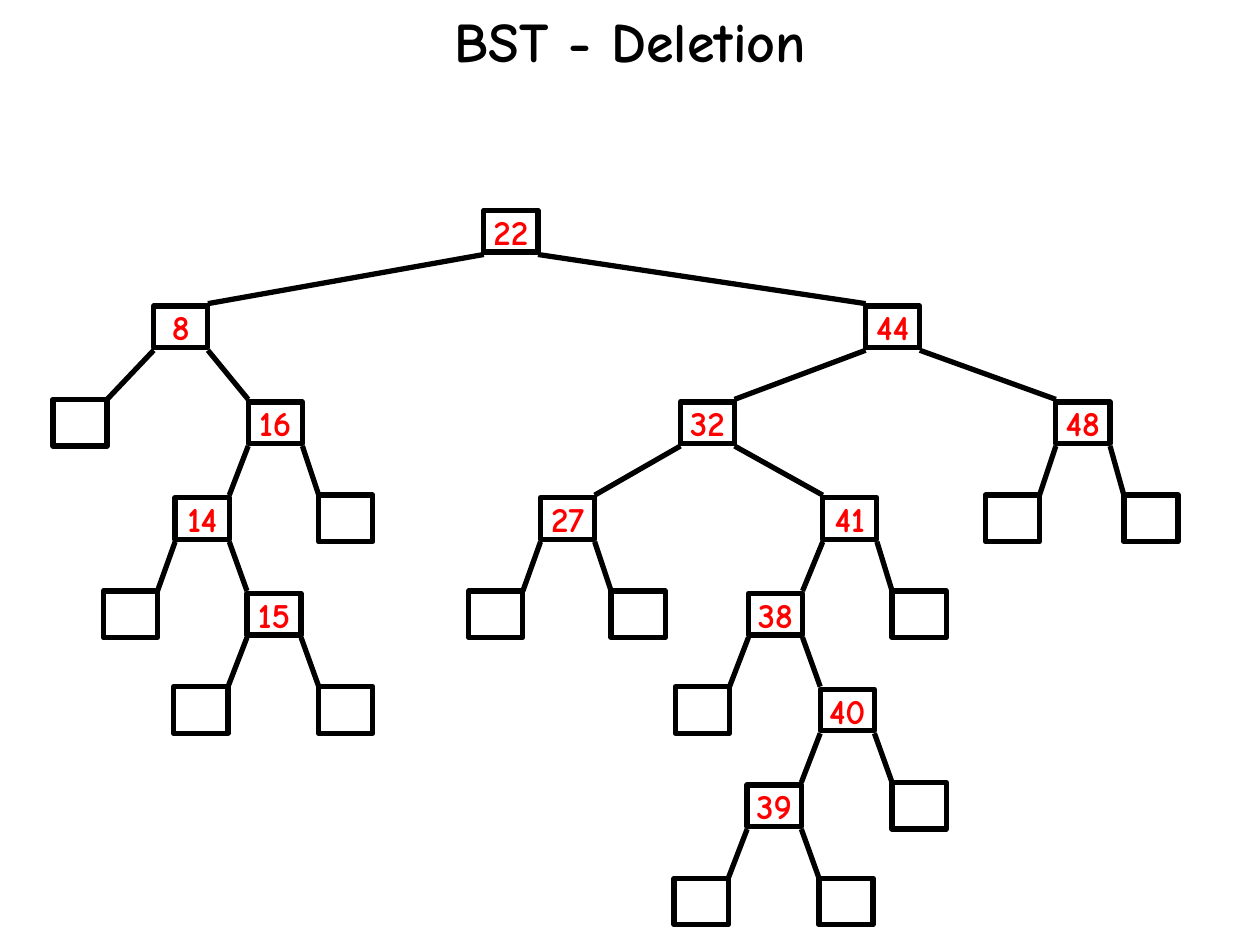
from lxml.etree import SubElement
from pptx import Presentation
from pptx.dml.color import RGBColor as RGB
from pptx.enum.shapes import MSO_CONNECTOR as LINE, MSO_SHAPE as SHAPE
from pptx.enum.text import MSO_ANCHOR as ANCHOR, MSO_AUTO_SIZE as AUTO, PP_ALIGN as ALIGN
from pptx.oxml.ns import qn
from pptx.util import Inches as In, Pt

HUES = {"ink": "000000", "key": "FF0000", "box": "FFFFFF"}
FONT = "Comic Neue"
TOP, ROW = 1.65, 0.76      # first level and the step between levels
WIDE, TALL = 0.43, 0.37    # cell of one node
INSET = 0.02               # a keyed box is this much smaller above and below

# key, level, left edge, parent key; an empty key is an empty leaf
NODES = [
    ("22", 0, 3.84, None),
    ("8", 1, 1.22, "22"), ("44", 1, 6.87, "22"),
    ("", 2, 0.42, "8"), ("16", 2, 1.97, "8"),
    ("32", 2, 5.4, "44"), ("48", 2, 8.38, "44"),
    ("14", 3, 1.39, "16"), ("", 3, 2.53, "16"),
    ("27", 3, 4.29, "32"), ("41", 3, 6.53, "32"),
    ("", 3, 7.82, "48"), ("", 3, 8.92, "48"),
    ("", 4, 0.82, "14"), ("15", 4, 1.96, "14"),
    ("", 4, 3.72, "27"), ("", 4, 4.85, "27"),
    ("38", 4, 5.94, "41"), ("", 4, 7.08, "41"),
    ("", 5, 1.38, "15"), ("", 5, 2.53, "15"),
    ("", 5, 5.36, "38"), ("40", 5, 6.51, "38"),
    ("39", 6, 5.93, "40"), ("", 6, 7.08, "40"),
    ("", 7, 5.35, "39"), ("", 7, 6.5, "39"),
]

deck = Presentation()
deck.slide_width, deck.slide_height = In(10), In(7.5)
slide = deck.slides.add_slide(deck.slide_layouts[6])
shapes = slide.shapes


def style(para, size, hue):
    font = para.font
    font.name, font.size, font.bold = FONT, Pt(size), True
    font.color.rgb = RGB.from_string(HUES[hue])


def ink(line):
    line.color.rgb = RGB.from_string(HUES["ink"])
    line.width = Pt(3)


# Title
title = shapes.add_textbox(In(3.51), 0, In(2.99), In(0.64)).text_frame
title.word_wrap = False
title.auto_size = AUTO.SHAPE_TO_FIT_TEXT
title.text = "BST - Deletion"
style(title.paragraphs[0], 32, "ink")

# Node boxes
for key, level, left, _ in NODES:
    gap = INSET if key else 0
    box = shapes.add_shape(SHAPE.RECTANGLE, In(left), In(TOP + level * ROW + gap),
                           In(WIDE), In(TALL - 2 * gap))
    box.shadow.inherit = False
    box.fill.solid()
    box.fill.fore_color.rgb = RGB.from_string(HUES["box"])
    ink(box.line)
    if key:
        frame = box.text_frame
        frame.margin_left = frame.margin_right = 0
        frame.margin_top = frame.margin_bottom = 0
        frame.vertical_anchor = ANCHOR.MIDDLE
        frame.text = key
        frame.paragraphs[0].alignment = ALIGN.CENTER
        style(frame.paragraphs[0], 20, "key")

# Branches, from a lower corner of the parent to the near upper corner of the child
spots = {key: (level, left) for key, level, left, _ in NODES if key}
for _, level, left, parent in NODES:
    if parent is None:
        continue
    above, start = spots[parent]
    if left < start:
        end = left + WIDE
    else:
        start, end = start + WIDE, left
    branch = shapes.add_connector(LINE.STRAIGHT,
                                  In(start), In(TOP + above * ROW + TALL),
                                  In(end), In(TOP + level * ROW))
    ink(branch.line)
    SubElement(branch.element.spPr, qn("a:effectLst"))

deck.save("out.pptx")
